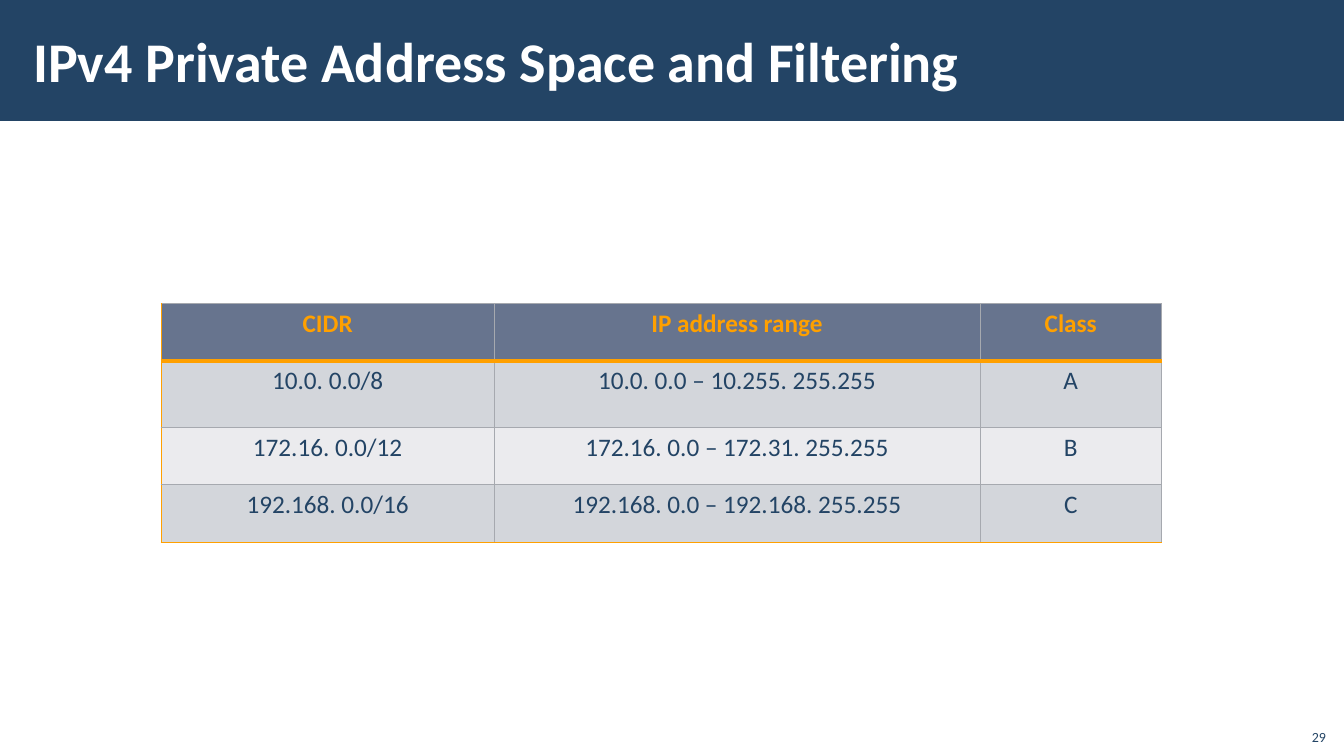
from dataclasses import dataclass

from lxml.etree import SubElement
from pptx import Presentation
from pptx.dml.color import RGBColor
from pptx.enum.shapes import MSO_SHAPE
from pptx.enum.text import MSO_ANCHOR, PP_ALIGN
from pptx.oxml.ns import qn
from pptx.util import Inches, Pt


@dataclass(frozen=True)
class Theme:
    font: str = "Calibri"
    navy: str = "234465"
    white: str = "FFFFFF"
    orange: str = "FFA000"
    header: str = "67748E"
    row_bands: tuple = ("D3D6DB", "EBEBEE")
    grid: str = "A6A9AF"
    title_size: int = 40
    table_size: int = 18
    number_size: int = 10


class SlideBuilder:
    def __init__(self, slide, theme):
        self.slide = slide
        self.theme = theme

    def add_text(self, frame, text, size, color, bold=False, align=PP_ALIGN.LEFT):
        paragraph = frame.paragraphs[0]
        paragraph.alignment = align
        run = paragraph.add_run()
        run.text = text
        run.font.name = self.theme.font
        run.font.size = Pt(size)
        run.font.bold = bold
        run.font.color.rgb = RGBColor.from_string(color)

    def band(self, left, top, width, height):
        shape = self.slide.shapes.add_shape(
            MSO_SHAPE.RECTANGLE, Inches(left), Inches(top), Inches(width), Inches(height))
        shape.shadow.inherit = False
        shape.fill.solid()
        shape.fill.fore_color.rgb = RGBColor.from_string(self.theme.navy)
        shape.line.fill.background()
        # Keep the band behind the title placeholder
        shape.element.getparent().insert(2, shape.element)

    def title(self, text, left, top, width, height):
        shape = self.slide.shapes.title
        shape.left, shape.top = Inches(left), Inches(top)
        shape.width, shape.height = Inches(width), Inches(height)
        frame = shape.text_frame
        frame.word_wrap = True
        frame.vertical_anchor = MSO_ANCHOR.MIDDLE
        frame.margin_left = frame.margin_right = Inches(0.12)
        frame.margin_top = frame.margin_bottom = Inches(0.04)
        self.add_text(frame, text, self.theme.title_size, self.theme.white, bold=True)

    def page_number(self, text, left, top, width, height):
        box = self.slide.shapes.add_textbox(
            Inches(left), Inches(top), Inches(width), Inches(height))
        frame = box.text_frame
        frame.word_wrap = True
        frame.vertical_anchor = MSO_ANCHOR.BOTTOM
        self.add_text(frame, text, self.theme.number_size, self.theme.navy,
                      align=PP_ALIGN.RIGHT)

    def cell_borders(self, cell, borders):
        properties = cell._tc.get_or_add_tcPr()
        for side in ("L", "R", "T", "B"):
            color, width = borders[side]
            line = SubElement(properties, qn(f"a:ln{side}"), w=str(Pt(width)))
            fill = SubElement(line, qn("a:solidFill"))
            SubElement(fill, qn("a:srgbClr"), val=color)

    def table(self, rows, left, top, widths, heights):
        theme = self.theme
        table = self.slide.shapes.add_table(
            len(rows), len(widths), Inches(left), Inches(top),
            Inches(sum(widths)), Inches(sum(heights))).table
        for column, width in zip(table.columns, widths):
            column.width = Inches(width)
        for row, height in zip(table.rows, heights):
            row.height = Inches(height)

        thin, accent, heavy = (theme.grid, 0.5), (theme.orange, 1), (theme.orange, 3)
        last_row = len(rows) - 1
        for row_index, values in enumerate(rows):
            is_header = row_index == 0
            fill = theme.header if is_header else theme.row_bands[(row_index - 1) % 2]
            color = theme.orange if is_header else theme.navy
            for column_index, text in enumerate(values):
                cell = table.cell(row_index, column_index)
                self.cell_borders(cell, {
                    "L": accent if column_index == 0 else thin,
                    "R": thin,
                    "T": heavy if row_index == 1 else thin,
                    "B": heavy if is_header else accent if row_index == last_row else thin,
                })
                cell.fill.solid()
                cell.fill.fore_color.rgb = RGBColor.from_string(fill)
                self.add_text(cell.text_frame, text, theme.table_size, color,
                              bold=is_header, align=PP_ALIGN.CENTER)


def main():
    presentation = Presentation()
    presentation.slide_width = Inches(13.33)
    presentation.slide_height = Inches(7.5)
    slide = presentation.slides.add_slide(presentation.slide_layouts[5])
    builder = SlideBuilder(slide, Theme())

    # Title band
    builder.band(0, 0, 13.33, 1.2)
    builder.title("IPv4 Private Address Space and Filtering", 0.21, 0.11, 10.63, 0.97)

    # Private address ranges
    builder.table(
        [
            ("CIDR", "IP address range", "Class"),
            ("10.0. 0.0/8", "10.0. 0.0 – 10.255. 255.255", "A"),
            ("172.16. 0.0/12", "172.16. 0.0 – 172.31. 255.255", "B"),
            ("192.168. 0.0/16", "192.168. 0.0 – 192.168. 255.255", "C"),
        ],
        1.6, 3.01, widths=(3.3, 4.82, 1.8), heights=(0.57, 0.66, 0.57, 0.57))

    # Page number
    builder.page_number("29", 12.85, 7.12, 0.4, 0.32)

    presentation.save("out.pptx")


if __name__ == "__main__":
    main()
